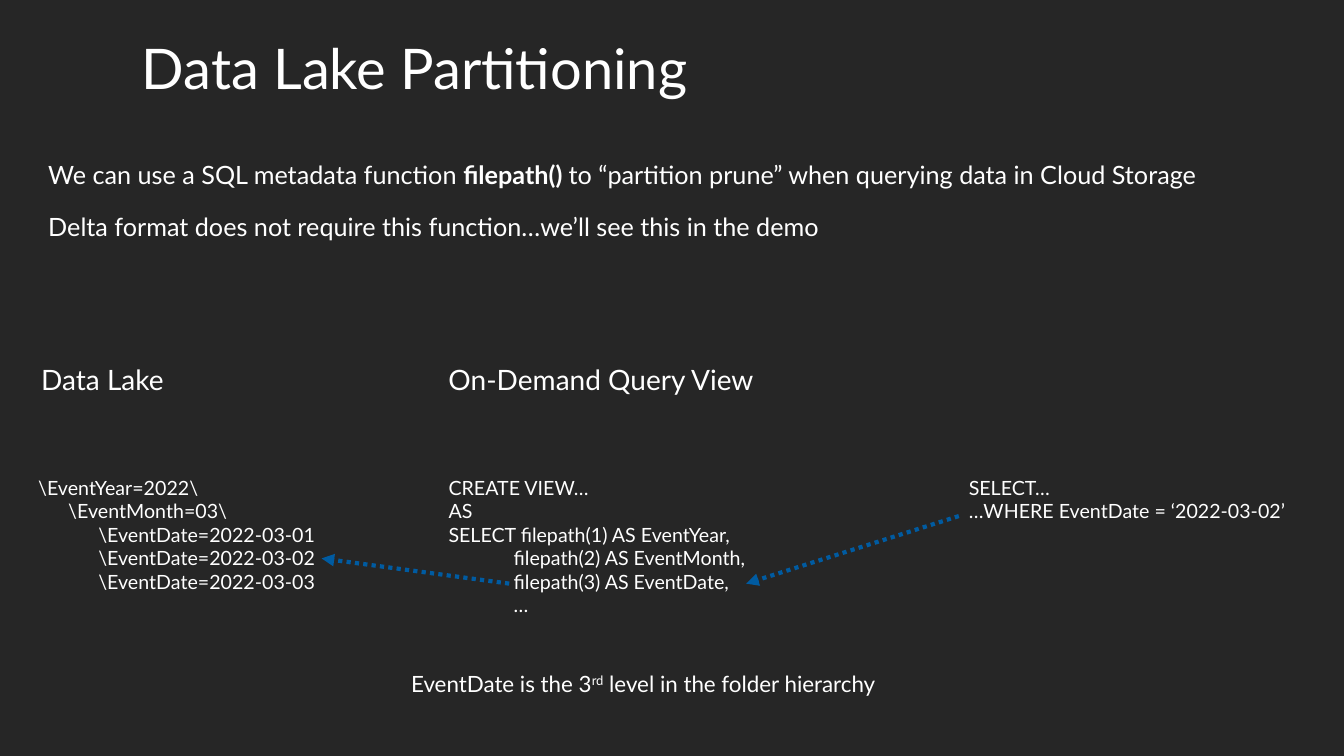
from dataclasses import dataclass

from lxml import etree
from pptx import Presentation
from pptx.dml.color import RGBColor
from pptx.enum.dml import MSO_LINE
from pptx.enum.shapes import MSO_CONNECTOR
from pptx.enum.text import MSO_AUTO_SIZE
from pptx.oxml.ns import qn
from pptx.util import Inches, Pt

STRAIGHT = MSO_CONNECTOR.STRAIGHT
DOTTED = MSO_LINE.ROUND_DOT
GROW = MSO_AUTO_SIZE.SHAPE_TO_FIT_TEXT


@dataclass(frozen=True)
class Theme:
    font: str = "Lato"
    background: RGBColor = RGBColor(0x26, 0x26, 0x26)
    text: RGBColor = RGBColor(0xFF, 0xFF, 0xFF)
    arrow: RGBColor = RGBColor(0x00, 0x5B, 0xA1)
    arrow_width: float = 3
    title: float = 40
    heading: float = 20
    body: float = 18
    note: float = 16
    code: float = 14


def write_span(para, text, *, theme, size, bold=False, raised=False):
    span = para.add_run()
    span.text = text
    span.font.name = theme.font
    span.font.size = Pt(size)
    span.font.color.rgb = theme.text
    span.font.bold = bold
    if raised:
        span.font._element.set("baseline", "30000")


class SlideBuilder:
    def __init__(self, page, theme):
        self.page = page
        self.theme = theme
        fill = page.background.fill
        fill.solid()
        fill.fore_color.rgb = theme.background

    def text(self, left, top, width, height, size, lines):
        box = self.page.shapes.add_textbox(
            Inches(left), Inches(top), Inches(width), Inches(height))
        frame = box.text_frame
        frame.word_wrap = True
        frame.auto_size = GROW
        for index, line in enumerate(lines):
            para = frame.add_paragraph() if index else frame.paragraphs[0]
            spans = [(line, {})] if isinstance(line, str) else line
            for text, style in spans:
                write_span(para, text, theme=self.theme, size=size, **style)

    def arrow(self, start, end):
        points = [Inches(value) for value in (*start, *end)]
        connector = self.page.shapes.add_connector(STRAIGHT, *points)
        connector.line.color.rgb = self.theme.arrow
        connector.line.width = Pt(self.theme.arrow_width)
        connector.line.dash_style = DOTTED
        outline = connector.line._get_or_add_ln()
        etree.SubElement(outline, qn("a:tailEnd"), type="triangle")
        etree.SubElement(connector._element.spPr, qn("a:effectLst"))


def main():
    deck = Presentation()
    deck.slide_width = Inches(13.33)
    deck.slide_height = Inches(7.5)
    theme = Theme()
    slide = SlideBuilder(deck.slides.add_slide(deck.slide_layouts[6]), theme)

    slide.text(1.31, 0.28, 10.6, 0.77, theme.title, ["Data Lake Partitioning"])

    statements = [
        [("We can use a SQL metadata function ", {}),
         ("filepath() ", {"bold": True}),
         ("to “partition prune” when querying data in Cloud Storage", {})],
        "Delta format does not require this function…we’ll see this in the demo",
    ]
    for index, statement in enumerate(statements):
        slide.text(0.38, 1.53 + 0.52 * index, 12.75, 0.4, theme.body, [statement])

    heading_top = 3.55
    slide.text(0.31, heading_top, 3.33, 0.44, theme.heading, ["Data Lake"])
    slide.text(4.35, heading_top, 3.7, 0.44, theme.heading,
               ["On-Demand Query View"])

    code_top = 4.67
    slide.text(0.28, code_top, 3.35, 1.28, theme.code, [
        "\\EventYear=2022\\",
        "      \\EventMonth=03\\",
        *(f"            \\EventDate=2022-03-0{day}" for day in (1, 2, 3)),
    ])
    slide.text(4.35, code_top, 3.45, 1.51, theme.code, [
        "CREATE VIEW…",
        "AS",
        "SELECT filepath(1) AS EventYear,",
        "             filepath(2) AS EventMonth,",
        "             filepath(3) AS EventDate,",
        "             …",
    ])
    slide.text(9.51, code_top, 3.51, 0.57, theme.code, [
        "SELECT…",
        "…WHERE EventDate = ‘2022-03-02’",
    ])

    slide.arrow((9.51, 5.12), (7.4, 5.79))
    slide.arrow((5.05, 5.79), (3.19, 5.54))

    slide.text(3.98, 6.6, 6.1, 0.37, theme.note, [[
        ("EventDate is the 3", {}),
        ("rd", {"raised": True}),
        (" level in the folder hierarchy", {}),
    ]])

    deck.save("out.pptx")


if __name__ == "__main__":
    main()
